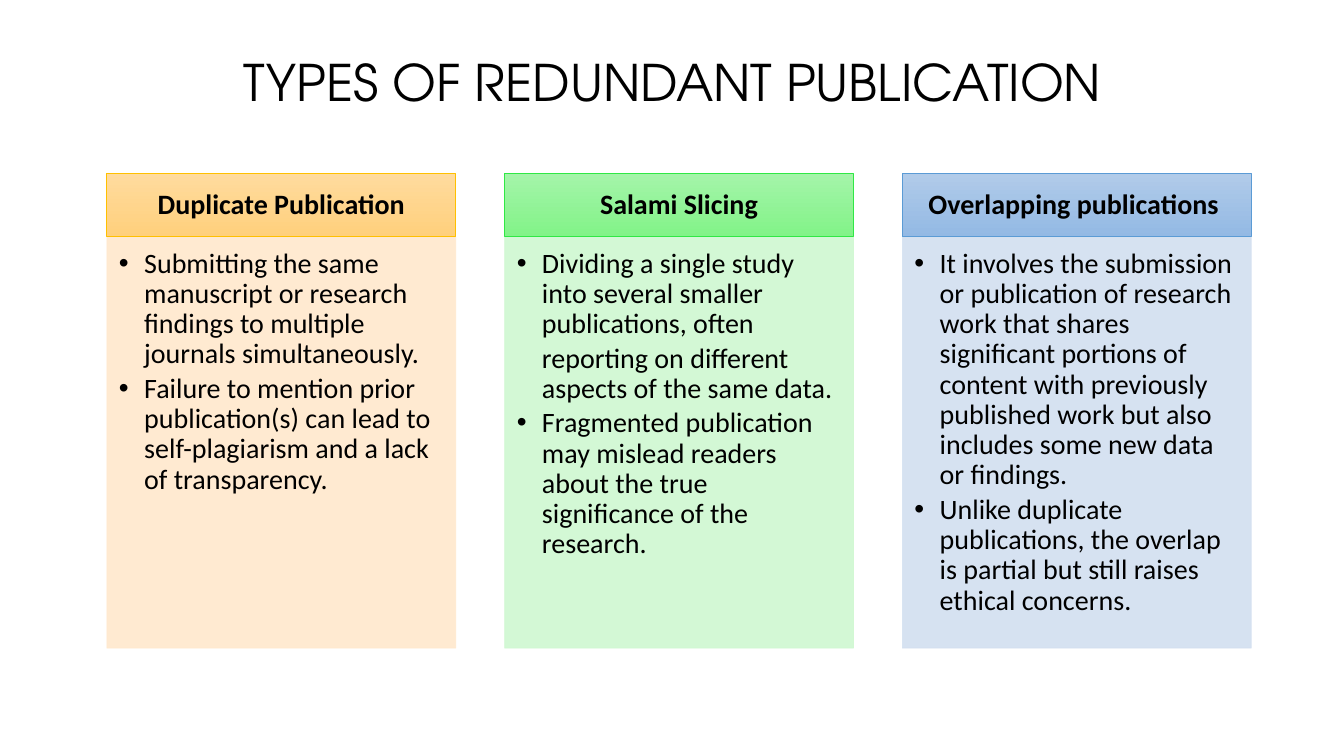
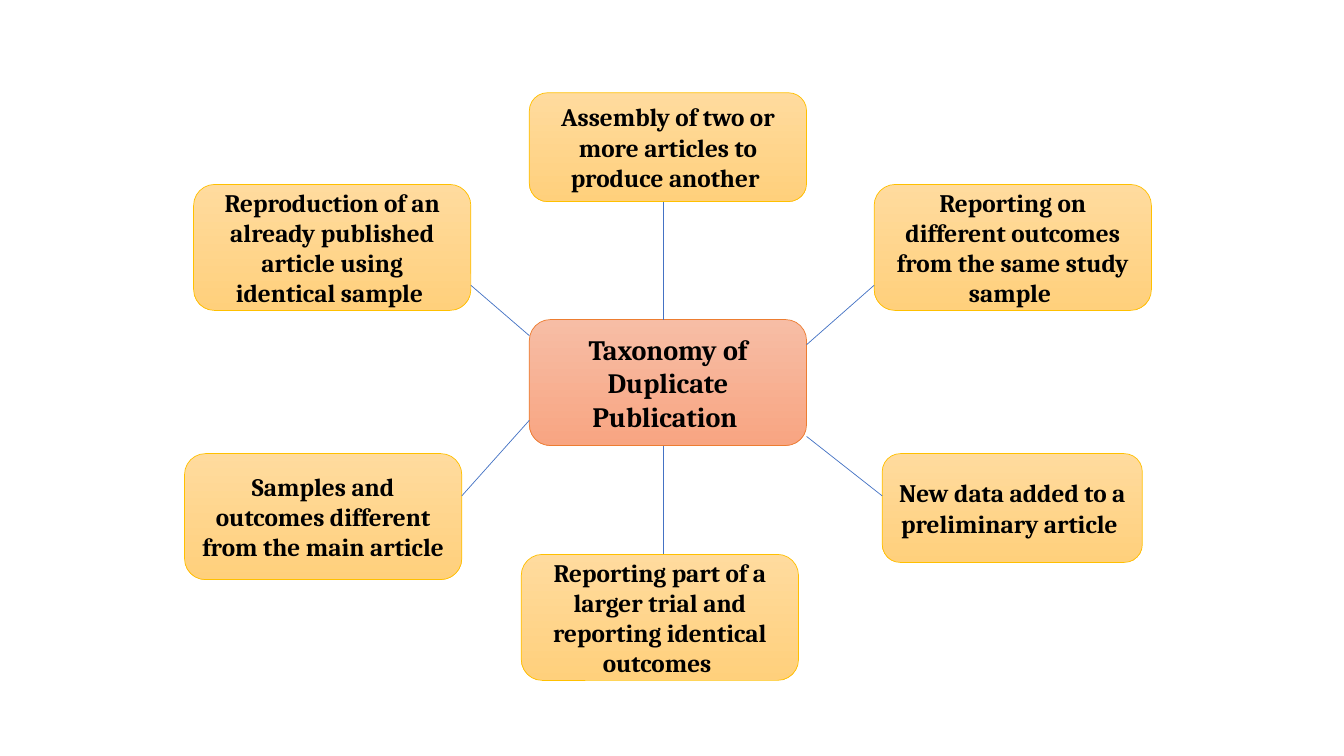
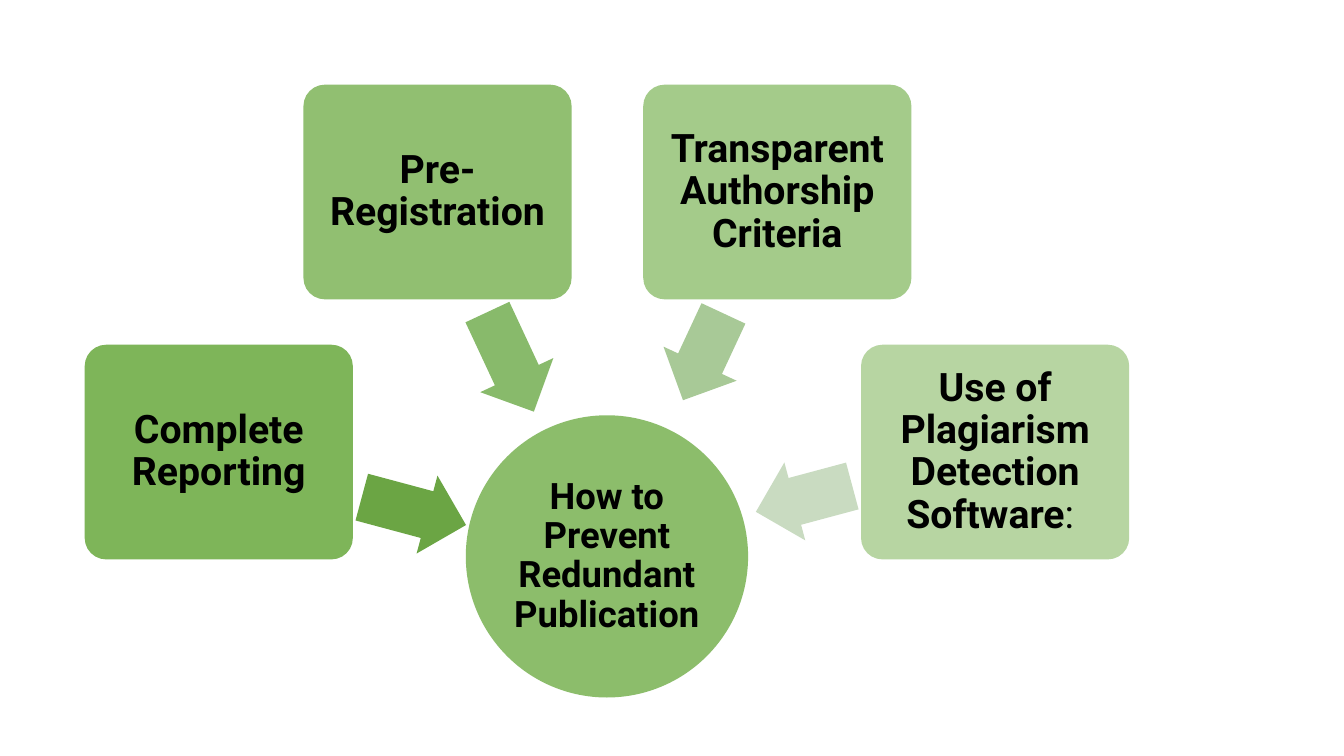
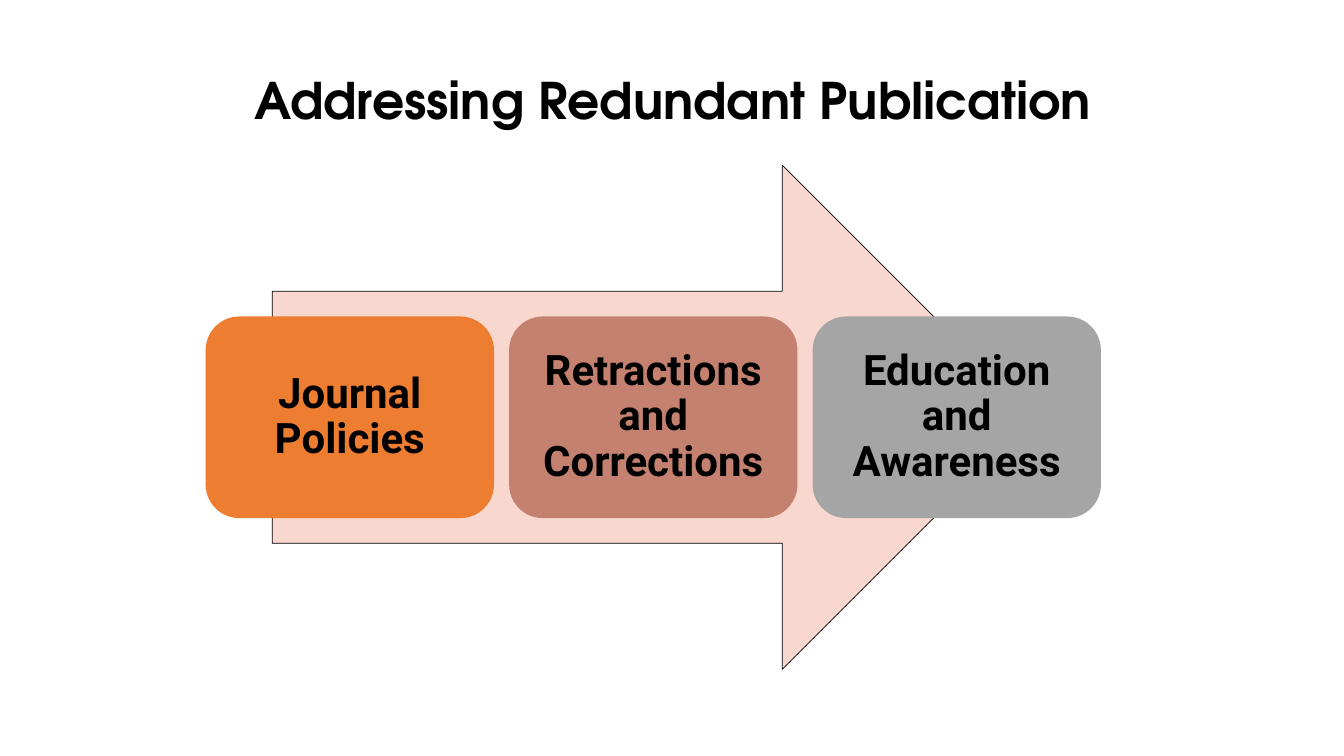
"""Build a four-slide deck on redundant publication."""

from dataclasses import dataclass
from typing import NamedTuple

from lxml.etree import SubElement
from pptx import Presentation
from pptx.dml.color import RGBColor
from pptx.enum.shapes import MSO_CONNECTOR, MSO_SHAPE as Preset
from pptx.enum.text import MSO_ANCHOR as Anchor, MSO_AUTO_SIZE, PP_ALIGN as Align
from pptx.oxml.ns import qn
from pptx.shapes.autoshape import Shape
from pptx.slide import Slide
from pptx.text.text import TextFrame, _Paragraph as Paragraph, _Run as Run
from pptx.util import Inches, Length, Pt


class Gradient(NamedTuple):
    top: str
    bottom: str
    outline: str


class TextStyle(NamedTuple):
    font: str
    size: int
    bold: bool = True
    spacing: float = 0.9


@dataclass(frozen=True)
class Theme:
    text: str = "000000"
    amber: Gradient = Gradient("FFDB9E", "FFD07C", "FFC000")
    green: Gradient = Gradient("A4F4A9", "82F388", "30E845")
    blue: Gradient = Gradient("B1CBE9", "93B9E4", "5B9BD5")
    coral: Gradient = Gradient("F7BDA5", "F8A582", "ED7D31")
    amber_pale: str = "FFE8CC"
    green_pale: str = "CFF8D1"
    blue_pale: str = "D2DFF0"
    connector: str = "4472C4"
    leaf: str = "70AD47"
    arrow_pale: str = "F8D7CE"
    orange: str = "ED7D31"
    clay: str = "C48170"
    gray: str = "A5A5A5"
    hairline: float = 0.5
    title: TextStyle = TextStyle("TeX Gyre Adventor", 36, False)
    title_bold: TextStyle = TextStyle("TeX Gyre Adventor", 36)
    column_head: TextStyle = TextStyle("Calibri", 20)
    column_body: TextStyle = TextStyle("Calibri", 20, False)
    node: TextStyle = TextStyle("Cambria", 18, True, 1.0)
    hub: TextStyle = TextStyle("Cambria", 20, True, 1.0)
    circle: TextStyle = TextStyle("Roboto", 26)
    measure: TextStyle = TextStyle("Roboto", 28)
    step: TextStyle = TextStyle("Roboto", 30)


THEME = Theme()


class Box(NamedTuple):
    left: float
    top: float
    width: float
    height: float

    def lengths(self) -> tuple[Length, ...]:
        return tuple(Inches(value) for value in self)


class Margins(NamedTuple):
    left: float = 0.1
    top: float = 0.05
    right: float = 0.1
    bottom: float = 0.05


class Item(NamedTuple):
    text: str
    bulleted: bool = True


@dataclass(frozen=True)
class Column:
    heading: str
    items: tuple[Item, ...]
    gradient: Gradient
    body_color: str
    placeholder: int


@dataclass(frozen=True)
class Node:
    text: str
    box: Box


@dataclass(frozen=True)
class Measure:
    text: str
    left: float
    top: float
    opacity: int
    arrow: Box
    arrow_color: str
    plain_tail: str = ""


@dataclass(frozen=True)
class Step:
    text: str
    color: str


COLUMNS = (
    Column("Duplicate Publication", (
        Item("Submitting the same manuscript or research findings to multiple journals simultaneously."),
        Item("Failure to mention prior publication(s) can lead to self-plagiarism and a lack of transparency."),
    ), THEME.amber, THEME.amber_pale, 1),
    Column("Salami Slicing", (
        Item("Dividing a single study into several smaller publications, often"),
        Item("reporting on different aspects of the same data.", False),
        Item("Fragmented publication may mislead readers about the true significance of the research."),
    ), THEME.green, THEME.green_pale, 2),
    Column("Overlapping publications ", (
        Item("It involves the submission or publication of research work that shares significant portions "
             "of content with previously published work but also includes some new data or findings."),
        Item("Unlike duplicate publications, the overlap is partial but still raises ethical concerns."),
    ), THEME.blue, THEME.blue_pale, 4),
)

NODES = (
    Node("Assembly of two or more articles to produce another ", Box(5.25, 0.92, 2.75, 1.08)),
    Node("Reproduction of an already published article using identical sample ", Box(1.92, 1.83, 2.75, 1.25)),
    Node("Samples and outcomes different from the main article ", Box(1.83, 4.5, 2.75, 1.25)),
    Node("Reporting part of a larger trial and reporting identical outcomes ", Box(5.17, 5.5, 2.75, 1.25)),
    Node("Reporting on different outcomes from the same study sample ", Box(8.67, 1.83, 2.75, 1.25)),
    Node("New data added to a preliminary article ", Box(8.75, 4.5, 2.58, 1.08)),
)

SPOKES = (
    (6.58, 2, 6.58, 3.17), (6.58, 4.42, 6.58, 5.5), (8, 4.33, 8.75, 4.92),
    (8, 3.42, 8.67, 2.83), (4.67, 2.83, 5.25, 3.33), (4.58, 4.92, 5.25, 4.17),
)

MEASURES = (
    Measure("Complete Reporting", 0.84, 3.42, 90, Box(3.57, 4.67, 1.07, 0.8), "6BA544"),
    Measure("Pre-Registration", 3.01, 0.84, 77, Box(4.52, 3.19, 1.09, 0.8), "88BA6B"),
    Measure("Transparent Authorship Criteria", 6.38, 0.84, 63, Box(6.5, 3.14, 0.95, 0.8), "A8C997"),
    Measure("Use of Plagiarism Detection Software", 8.54, 3.42, 50, Box(7.48, 4.55, 0.99, 0.8), "C9DBC1", ": "),
)

STEPS = (
    Step("Journal Policies", THEME.orange),
    Step("Retractions and Corrections", THEME.clay),
    Step("Education and Awareness", THEME.gray),
)


def color(value: str) -> RGBColor:
    return RGBColor.from_string(value)


def style_run(run: Run, style: TextStyle) -> None:
    run.font.name = style.font
    run.font.size = Pt(style.size)
    run.font.bold = style.bold
    run.font.color.rgb = color(THEME.text)


def style_paragraph(paragraph: Paragraph, style: TextStyle, align: Align) -> None:
    paragraph.alignment = align
    paragraph.line_spacing = style.spacing
    paragraph.space_before = Pt(0)
    for run in paragraph.runs:
        style_run(run, style)


def prepare_frame(frame: TextFrame, anchor: Anchor, margins: Margins) -> None:
    frame.word_wrap = True
    frame.auto_size = MSO_AUTO_SIZE.NONE
    frame.vertical_anchor = anchor
    frame.margin_left, frame.margin_top, frame.margin_right, frame.margin_bottom = map(Inches, margins)


def add_label(shape: Shape, text: str, style: TextStyle, margins: Margins = Margins()) -> Paragraph:
    frame = shape.text_frame
    prepare_frame(frame, Anchor.MIDDLE, margins)
    frame.text = text
    style_paragraph(frame.paragraphs[0], style, Align.CENTER)
    return frame.paragraphs[0]


def fill_shape(shape: Shape, fill: str | Gradient, outline: str | None = None, opacity: int = 100) -> None:
    if isinstance(fill, Gradient):
        shape.fill.gradient()
        shape.fill.gradient_angle = 270
        for stop, value in zip(shape.fill.gradient_stops, (fill.top, fill.bottom)):
            stop.color.rgb = color(value)
        outline = fill.outline
    else:
        shape.fill.solid()
        shape.fill.fore_color.rgb = color(fill)
    if outline:
        shape.line.color.rgb = color(outline)
        shape.line.width = Pt(THEME.hairline)
    else:
        shape.line.fill.background()
    if opacity < 100:
        for node in shape.element.spPr.iter(qn("a:srgbClr")):
            SubElement(node, qn("a:alpha"), val=str(opacity * 1000))


def add_figure(slide: Slide, preset: Preset, box: Box, fill: str | Gradient,
               outline: str | None = None, opacity: int = 100) -> Shape:
    shape = slide.shapes.add_shape(preset, *box.lengths())
    shape.shadow.inherit = False
    fill_shape(shape, fill, outline, opacity)
    return shape


def place(shape: Shape, box: Box) -> None:
    shape.left, shape.top, shape.width, shape.height = box.lengths()


def set_title(slide: Slide, text: str, top: float, style: TextStyle, anchor: Anchor) -> None:
    title = slide.shapes.title
    place(title, Box(0.92, top, 11.5, 1.45))
    add_label(title, text, style)
    title.text_frame.vertical_anchor = anchor


def set_bullet(paragraph: Paragraph, bulleted: bool) -> None:
    properties = paragraph._p.get_or_add_pPr()
    properties.set("marL", str(Inches(0.25)))
    properties.set("indent", str(Inches(-0.25) if bulleted else 0))
    if bulleted:
        SubElement(properties, qn("a:buFont"), typeface="Arial")
        SubElement(properties, qn("a:buChar"), char="•")
    else:
        SubElement(properties, qn("a:buNone"))


def fill_list(shape: Shape, items: tuple[Item, ...]) -> None:
    frame = shape.text_frame
    prepare_frame(frame, Anchor.TOP, Margins(0.12, 0.12, 0.16, 0.17))
    frame.text = "\n".join(item.text for item in items)
    for paragraph, item in zip(frame.paragraphs, items):
        set_bullet(paragraph, item.bulleted)
        style_paragraph(paragraph, THEME.column_body, Align.LEFT)
        paragraph.space_after = Pt(3)


def add_spoke(slide: Slide, ends: tuple[float, ...]) -> None:
    spoke = slide.shapes.add_connector(MSO_CONNECTOR.STRAIGHT, *map(Inches, ends))
    spoke.line.color.rgb = color(THEME.connector)
    spoke.line.width = Pt(THEME.hairline)
    SubElement(spoke.element.spPr, qn("a:effectLst"))


def build_types(slide: Slide) -> None:
    set_title(slide, "TYPES OF REDUNDANT PUBLICATION", 0.53, THEME.title, Anchor.TOP)
    bodies = {shape.placeholder_format.idx: shape for shape in slide.placeholders}
    width, gap = 3.46, 0.485
    for index, column in enumerate(COLUMNS):
        left = 1.06 + index * (width + gap)
        heading = add_figure(slide, Preset.RECTANGLE, Box(left, 1.72, width, 0.63), column.gradient)
        add_label(heading, column.heading, THEME.column_head, Margins(0.16, 0.09, 0.16, 0.09))
        body = bodies[column.placeholder]
        place(body, Box(left, 2.35, width, 4.08))
        fill_shape(body, column.body_color, column.body_color, 90)
        fill_list(body, column.items)
    unused = bodies[3].element
    unused.getparent().remove(unused)


def build_taxonomy(slide: Slide) -> None:
    for node in NODES:
        shape = add_figure(slide, Preset.ROUNDED_RECTANGLE, node.box, THEME.amber)
        add_label(shape, node.text, THEME.node)
    hub = add_figure(slide, Preset.ROUNDED_RECTANGLE, Box(5.25, 3.17, 2.75, 1.25), THEME.coral)
    add_label(hub, "Taxonomy of Duplicate Publication ", THEME.hub)
    for ends in SPOKES:
        add_spoke(slide, ends)


def build_prevention(slide: Slide) -> None:
    circle = add_figure(slide, Preset.OVAL, Box(4.62, 4.12, 2.8, 2.8), THEME.leaf, opacity=80)
    add_label(circle, "How to Prevent Redundant Publication", THEME.circle, Margins(0.02, 0.02, 0.02, 0.02))
    for index, measure in enumerate(MEASURES):
        arrow = add_figure(slide, Preset.LEFT_ARROW, measure.arrow, measure.arrow_color)
        arrow.adjustments[0], arrow.adjustments[1] = 0.6, 0.5
        arrow.rotation = 195 + 50 * index
        card = add_figure(slide, Preset.ROUNDED_RECTANGLE, Box(measure.left, measure.top, 2.66, 2.13),
                          THEME.leaf, opacity=measure.opacity)
        card.adjustments[0] = 0.1
        paragraph = add_label(card, measure.text, THEME.measure, Margins(0.06, 0.06, 0.06, 0.06))
        if measure.plain_tail:
            tail = paragraph.add_run()
            tail.text = measure.plain_tail
            style_run(tail, THEME.measure._replace(bold=False))


def build_remedies(slide: Slide) -> None:
    set_title(slide, "Addressing Redundant Publication", 0.3, THEME.title_bold, Anchor.MIDDLE)
    add_figure(slide, Preset.RIGHT_ARROW, Box(2.7, 1.64, 7.56, 5), THEME.arrow_pale, THEME.text)
    width, gap = 2.86, 0.15
    for index, step in enumerate(STEPS):
        box = Box(2.04 + index * (width + gap), 3.14, width, 2)
        card = add_figure(slide, Preset.ROUNDED_RECTANGLE, box, step.color)
        add_label(card, step.text, THEME.step, Margins(0.12, 0.12, 0.12, 0.12))


def main() -> None:
    presentation = Presentation()
    presentation.slide_width, presentation.slide_height = Inches(13.33), Inches(7.5)
    comparison, title_only, blank = (presentation.slide_layouts[index] for index in (4, 5, 6))
    for layout, build in ((comparison, build_types), (blank, build_taxonomy),
                          (blank, build_prevention), (title_only, build_remedies)):
        build(presentation.slides.add_slide(layout))
    presentation.save("out.pptx")


if __name__ == "__main__":
    main()
